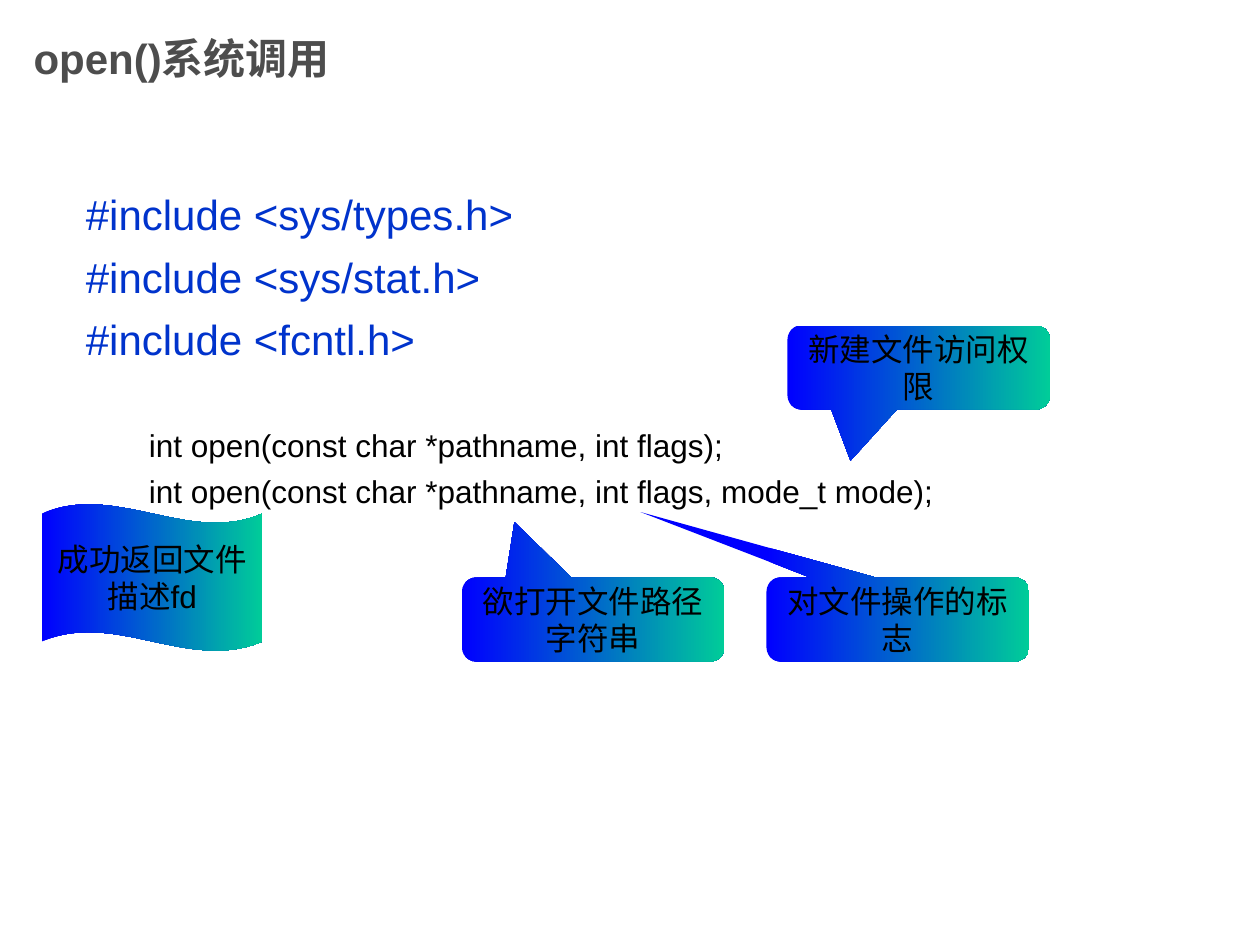
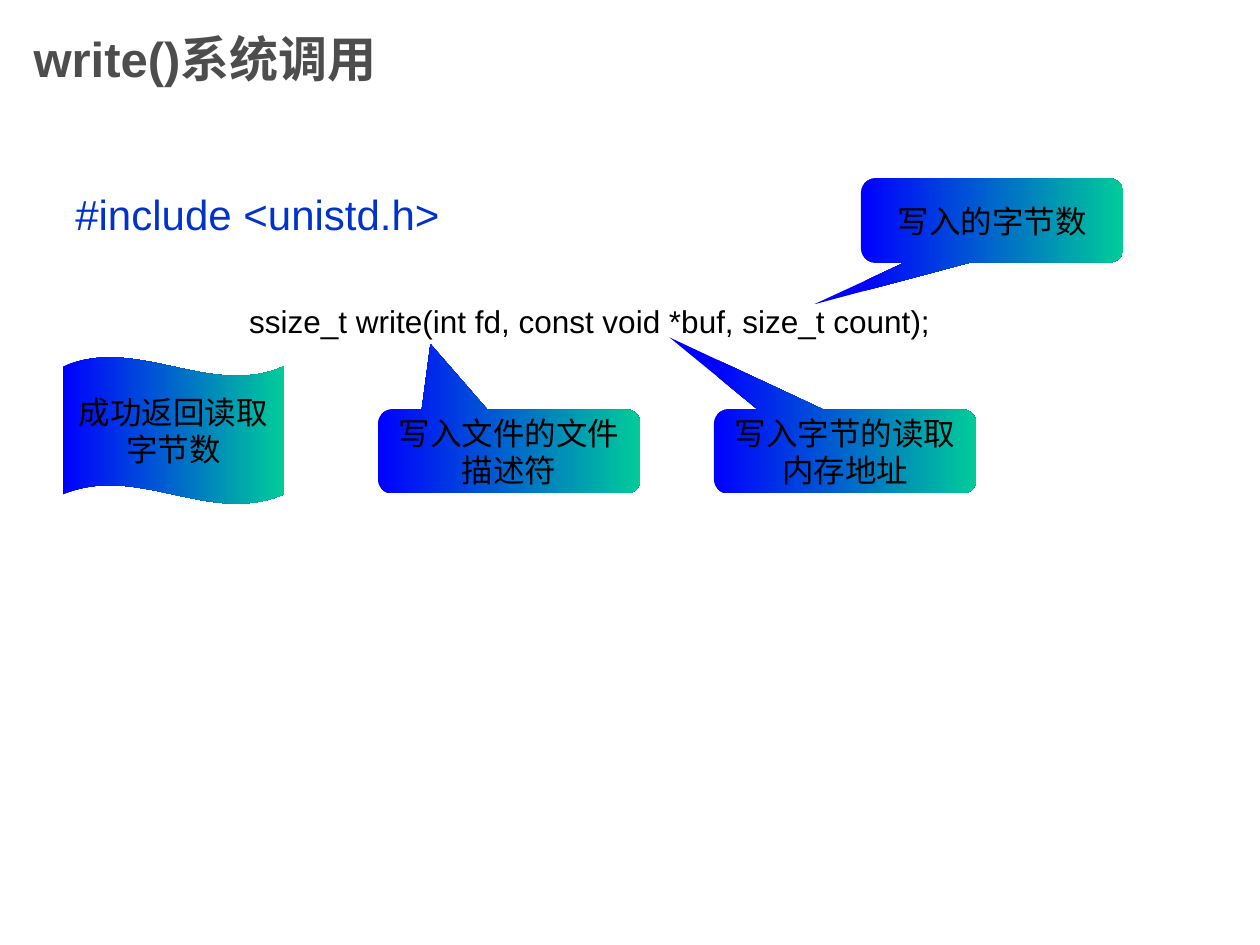
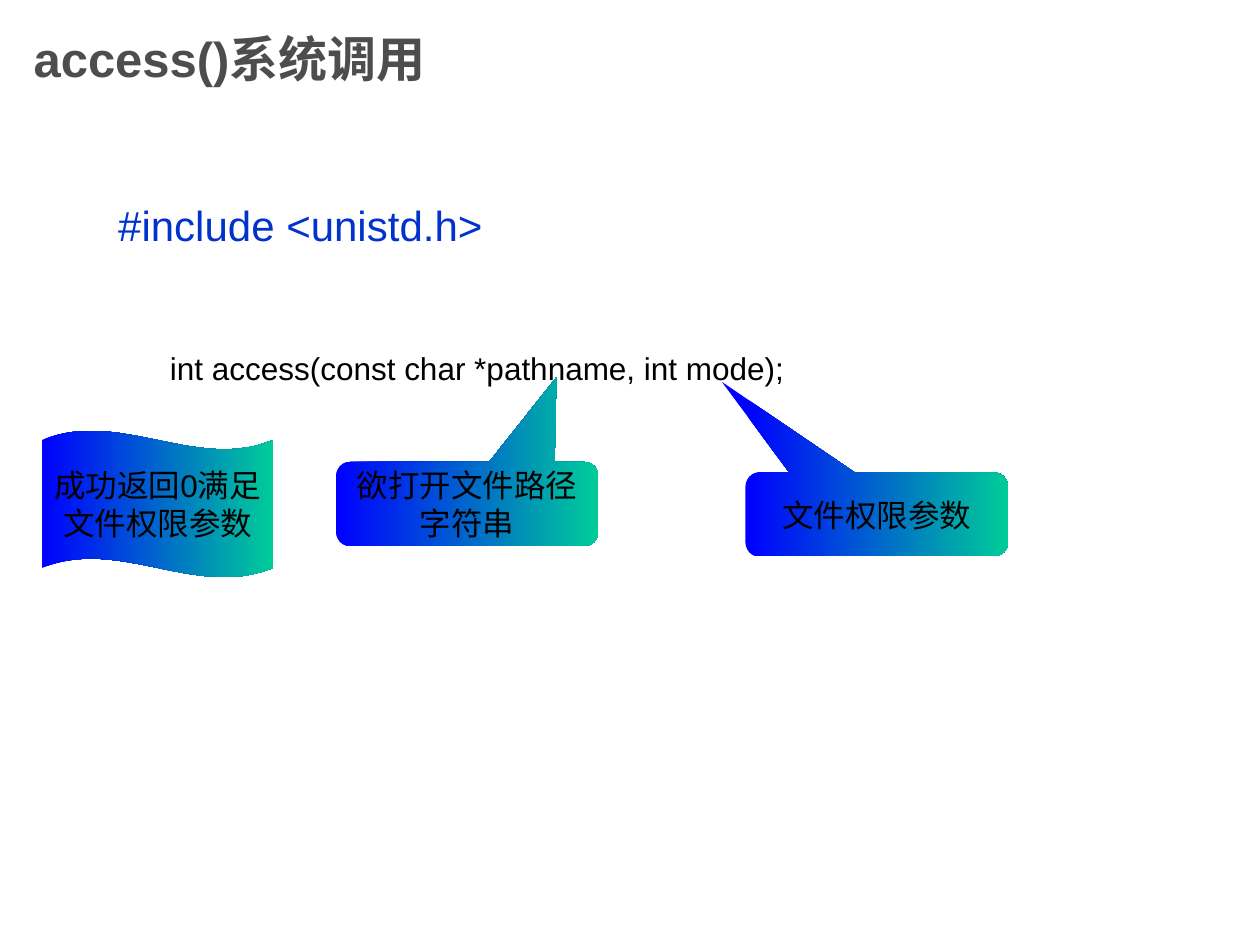
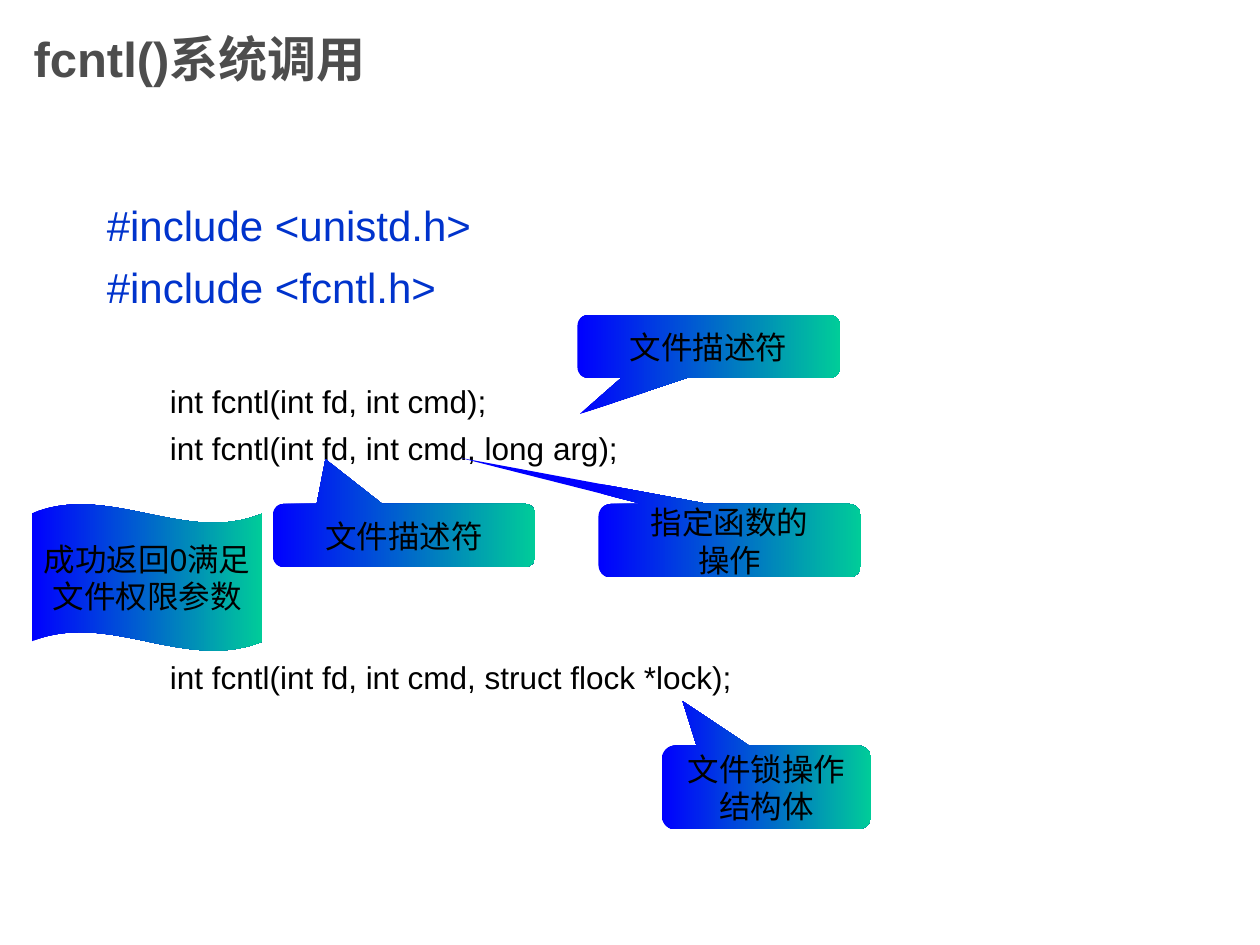
from dataclasses import dataclass

from pptx import Presentation
from pptx import util as u
from pptx.dml.color import RGBColor
from pptx.enum import shapes, text


@dataclass(frozen=True)
class Theme:
    font: str = "Arial"
    title: str = "4D4D4D"
    include: str = "0033CC"
    ink: str = "000000"
    grad_from: str = "0000FF"
    grad_to: str = "00CC99"
    title_pt: int = 28
    include_pt: int = 24
    body_pt: int = 18
    include_gap: float = 7
    code_gap: float = 5.2


theme = Theme()
prs = Presentation()
prs.slide_width, prs.slide_height = u.Inches(10), u.Inches(7.5)
COLS = 120
CELL = prs.slide_width / COLS
NOTE_W, NOTE_H = 25, 8
WAVE_H = 14


def grid(*cells):
    return [round(c * CELL) for c in cells]


def add_run(p, words, size, color, bold=False):
    r = p.add_run()
    r.text = words
    r.font.name = theme.font
    r.font.size = u.Pt(size)
    r.font.bold = bold
    r.font.color.rgb = RGBColor.from_string(color)


# code: (line, space before); notes: (col, row, width, height, tip x, tip y, lines)
slides = [
    dict(
        title="open()系统调用", title_pt=24, body=(7, 17), include_in=0, code_in=0.5,
        includes=["#include <sys/types.h>", "#include <sys/stat.h>", "#include <fcntl.h>"],
        code=[("int open(const char *pathname, int flags);", 35),
              ("int open(const char *pathname, int flags, mode_t mode);", theme.code_gap)],
        notes=[(44, 55, NOTE_W, NOTE_H, -0.3, -1.16, ["欲打开文件路径字符串"]),
               (73, 55, NOTE_W, NOTE_H, -0.98, -1.28, ["对文件操作的标志"]),
               (75, 31, NOTE_W, NOTE_H, -0.26, 1.11, ["新建文件访问权限"])],
        wave=(4, 48, 21, ["成功返回文件", "描述fd"]),
    ),
    dict(
        title="write()系统调用", title_pt=theme.title_pt, body=(6, 17), include_in=0, code_in=1.38,
        includes=["#include <unistd.h>"],
        code=[("ssize_t write(int fd, const void *buf, size_t count);", 36)],
        notes=[(36, 39, NOTE_W, NOTE_H, -0.3, -1.28, ["写入文件的文件描述符"]),
               (68, 39, NOTE_W, NOTE_H, -0.67, -1.36, ["写入字节的读取内存地址"]),
               (82, 17, NOTE_W, NOTE_H, -0.68, 1, ["写入的字节数"])],
        wave=(6, 34, 21, ["成功返回读取", "字节数"]),
    ),
    dict(
        title="access()系统调用", title_pt=theme.title_pt, body=(9, 18), include_in=0.09, code_in=0.5,
        includes=["#include <unistd.h>"],
        code=[("int access(const char *pathname, int mode);", 57)],
        notes=[(32, 44, NOTE_W, NOTE_H, 0.34, -1.51, ["欲打开文件路径字符串"]),
               (71, 45, NOTE_W, NOTE_H, -0.59, -1.58, ["文件权限参数"])],
        wave=(4, 41, 22, ["成功返回0满足", "文件权限参数"]),
    ),
    dict(
        title="fcntl()系统调用", title_pt=theme.title_pt, body=(9, 18), include_in=0, code_in=0.5,
        includes=["#include <unistd.h>", "#include <fcntl.h>"],
        code=[("int fcntl(int fd, int cmd);", 40),
              ("int fcntl(int fd, int cmd, long arg);", theme.code_gap),
              ("int fcntl(int fd, int cmd, struct flock *lock);", 109)],
        notes=[(26, 48, NOTE_W, 6, -0.3, -1.21, ["文件描述符"]),
               (57, 48, NOTE_W, 7, -1.03, -1.13, ["指定函数的", "操作"]),
               (55, 30, NOTE_W, 6, -0.49, 1.07, ["文件描述符"]),
               (63, 71, 20, NOTE_H, -0.4, -1.03, ["文件锁操作", "结构体"])],
        wave=(3, 48, 22, ["成功返回0满足", "文件权限参数"]),
    ),
]
slides = slides

for page in slides:
    s = prs.slides.add_slide(prs.slide_layouts[5])

    title = s.shapes.title
    title.left, title.top, title.width, title.height = grid(2, 0, 90, 11)
    tf = title.text_frame
    tf.vertical_anchor = text.MSO_ANCHOR.MIDDLE
    p = tf.paragraphs[0]
    p.alignment = text.PP_ALIGN.LEFT
    add_run(p, page["title"], page["title_pt"], theme.title, bold=True)

    body = s.shapes.add_textbox(*grid(*page["body"], 102, 62))
    tf = body.text_frame
    tf.word_wrap = True
    tf.margin_top = u.Inches(0.08)
    lines = [(line, theme.include_gap, page["include_in"], theme.include_pt, theme.include)
             for line in page["includes"]]
    lines += [(line, gap, page["code_in"], theme.body_pt, theme.ink)
              for line, gap in page["code"]]
    for i, (line, gap, indent, size, color) in enumerate(lines):
        p = tf.add_paragraph() if i else tf.paragraphs[0]
        p.space_before = u.Pt(gap if i else 0)
        p._p.get_or_add_pPr().set("marL", str(u.Inches(indent)))
        add_run(p, line, size, color)

    labels = []
    for col, row, width, height, tip_x, tip_y, lines in page["notes"]:
        sp = s.shapes.add_shape(shapes.MSO_SHAPE.ROUNDED_RECTANGULAR_CALLOUT,
                                *grid(col, row, width, height))
        sp.adjustments[0], sp.adjustments[1] = tip_x, tip_y
        labels.append((sp, lines, True))
    col, row, width, lines = page["wave"]
    sp = s.shapes.add_shape(shapes.MSO_SHAPE.WAVE, *grid(col, row, width, WAVE_H))
    sp.adjustments[0] = 0.065
    labels.append((sp, lines, False))

    for sp, lines, wrap in labels:
        sp.shadow.inherit = False
        sp.line.fill.background()
        sp.fill.gradient()
        sp.fill.gradient_angle = 0
        for stop, color in zip(sp.fill.gradient_stops, (theme.grad_from, theme.grad_to)):
            stop.color.rgb = RGBColor.from_string(color)
        tf = sp.text_frame
        tf.word_wrap = wrap
        tf.vertical_anchor = text.MSO_ANCHOR.MIDDLE
        for i, line in enumerate(lines):
            p = tf.add_paragraph() if i else tf.paragraphs[0]
            p.alignment = text.PP_ALIGN.CENTER
            add_run(p, line, theme.body_pt, theme.ink)

prs.save("out.pptx")
